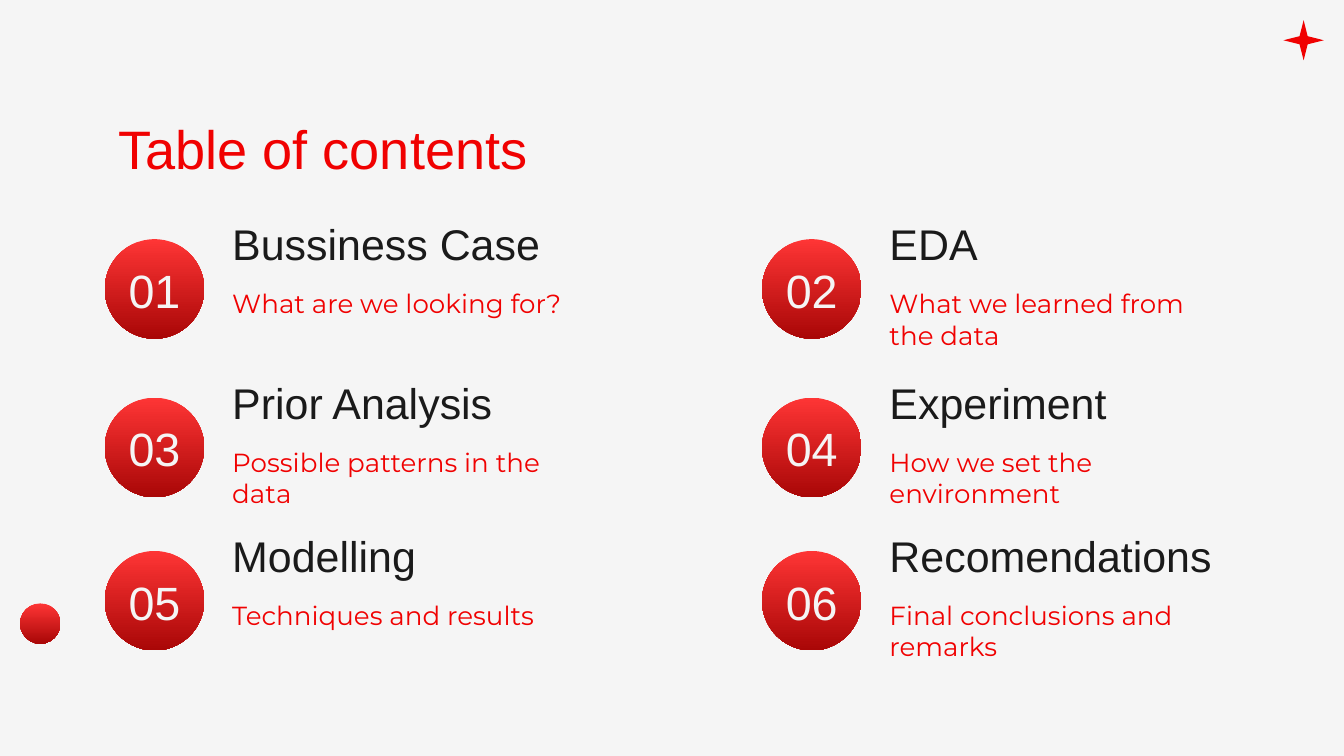
import pptx
import pptx.dml.color
import pptx.enum.shapes
import pptx.enum.text
import pptx.util

Inches = pptx.util.Inches
RGBColor = pptx.dml.color.RGBColor
Align = pptx.enum.text.PP_ALIGN
Anchor = pptx.enum.text.MSO_ANCHOR

BACKGROUND = RGBColor(0xF5, 0xF5, 0xF5)
RED = RGBColor(0xF0, 0x01, 0x01)
BRIGHT_RED = RGBColor(0xFE, 0x35, 0x35)
DARK_RED = RGBColor(0xA9, 0x07, 0x07)
INK = RGBColor(0x1A, 0x1A, 0x1A)

SLIDE_WIDTH = 10
SLIDE_HEIGHT = SLIDE_WIDTH * 9 / 16
COLUMN_LEFTS = (0.78, 5.67)
ROW_TOPS = (1.78, 2.96, 4.1)
BALL_SIZE = 0.74
SECTIONS = (
    ("Bussiness Case", "What are we looking for?"),
    ("EDA", "What we learned from the data"),
    ("Prior Analysis", "Possible patterns in the data"),
    ("Experiment", "How we set the environment"),
    ("Modelling", "Techniques and results"),
    ("Recomendations", "Final conclusions and remarks"),
)


def write(frame, text, size, color, font="Arial", align=Align.LEFT, anchor=Anchor.TOP):
    frame.text = text
    frame.word_wrap = True
    frame.auto_size = pptx.enum.text.MSO_AUTO_SIZE.NONE
    frame.vertical_anchor = anchor
    frame.margin_left = frame.margin_right = Inches(0.1)
    frame.margin_top = frame.margin_bottom = Inches(0.1)
    paragraph = frame.paragraphs[0]
    paragraph.alignment = align
    run_font = paragraph.runs[0].font
    run_font.name = font
    run_font.size = pptx.util.Pt(size)
    run_font.color.rgb = color


def add_text(slide, left, top, width, height, text, size, color, **style):
    box = slide.shapes.add_textbox(
        Inches(left), Inches(top), Inches(width), Inches(height)
    )
    write(box.text_frame, text, size, color, **style)


def add_ball(slide, left, top, size):
    ball = slide.shapes.add_shape(
        pptx.enum.shapes.MSO_SHAPE.OVAL,
        Inches(left), Inches(top), Inches(size), Inches(size),
    )
    ball.shadow.inherit = False
    ball.line.fill.background()
    ball.fill.gradient()
    ball.fill.gradient_angle = 270
    for stop, color in zip(ball.fill.gradient_stops, (BRIGHT_RED, DARK_RED)):
        stop.color.rgb = color


def add_sparkle(slide, center_x, center_y, outer, inner):
    offsets = (
        (0, -outer), (-inner, -inner), (-outer, 0), (-inner, inner),
        (0, outer), (inner, inner), (outer, 0), (inner, -inner),
    )
    points = [(Inches(center_x + dx), Inches(center_y + dy)) for dx, dy in offsets]
    builder = slide.shapes.build_freeform(*points[0])
    builder.add_line_segments(points[1:], close=True)
    sparkle = builder.convert_to_shape()
    sparkle.shadow.inherit = False
    sparkle.fill.solid()
    sparkle.fill.fore_color.rgb = RED
    sparkle.line.fill.background()


def add_title(slide, text):
    title = slide.shapes.title
    title.left, title.top = Inches(0.78), Inches(0.76)
    title.width, title.height = Inches(8.44), Inches(0.51)
    write(title.text_frame, text, 29, RED)


def add_section(slide, left, top, number, heading, summary):
    add_ball(slide, left, top, BALL_SIZE)
    add_text(slide, left, top + 0.12, BALL_SIZE, 0.51, f"{number:02d}", 25,
             BACKGROUND, align=Align.CENTER, anchor=Anchor.MIDDLE)
    add_text(slide, left + 0.85, top - 0.26, 2.7, 0.51, heading, 23, INK)
    add_text(slide, left + 0.85, top + 0.26, 2.7, 0.62, summary, 14, RED,
             font="Montserrat")


def main():
    deck = pptx.Presentation()
    deck.slide_width, deck.slide_height = Inches(SLIDE_WIDTH), Inches(SLIDE_HEIGHT)
    slide = deck.slides.add_slide(deck.slide_layouts.get_by_name("Title Only"))
    slide.background.fill.solid()
    slide.background.fill.fore_color.rgb = BACKGROUND

    add_ball(slide, 0.15, 4.49, 0.3)
    add_sparkle(slide, 9.7, 0.3, 0.15, 0.03)
    add_title(slide, "Table of contents")
    for index, (heading, summary) in enumerate(SECTIONS):
        row, column = divmod(index, len(COLUMN_LEFTS))
        add_section(slide, COLUMN_LEFTS[column], ROW_TOPS[row], index + 1,
                    heading, summary)

    deck.save("out.pptx")


if __name__ == "__main__":
    main()
